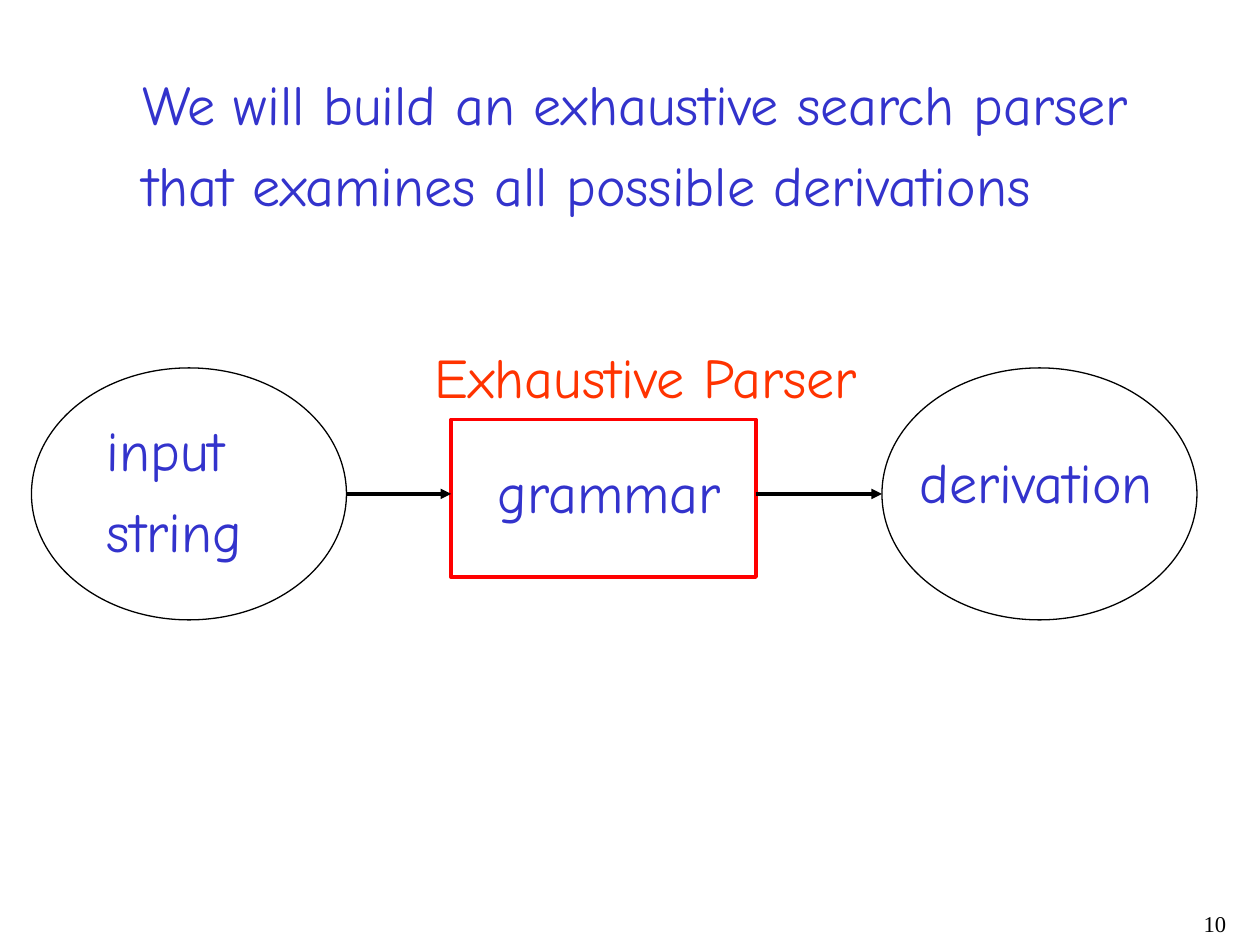
"""Build the slide on the exhaustive search parser."""
from lxml import etree
from pptx import Presentation
from pptx.dml.color import RGBColor
from pptx.enum.shapes import MSO_CONNECTOR, MSO_SHAPE
from pptx.enum.text import MSO_ANCHOR, MSO_AUTO_SIZE, PP_ALIGN
from pptx.oxml.ns import qn
from pptx.util import Inches, Pt

BLUE = RGBColor(0x33, 0x33, 0xCC)
ORANGE = RGBColor(0xFF, 0x33, 0x00)
RED = RGBColor(0xFF, 0x00, 0x00)
BLACK = RGBColor(0x00, 0x00, 0x00)
RECT, OVAL = MSO_SHAPE.RECTANGLE, MSO_SHAPE.OVAL
LEFT, RIGHT = PP_ALIGN.LEFT, PP_ALIGN.RIGHT
STRAIGHT = MSO_CONNECTOR.STRAIGHT
TOP, FIT = MSO_ANCHOR.TOP, MSO_AUTO_SIZE.SHAPE_TO_FIT_TEXT

MID = 3.92
TITLE = ["We will build an exhaustive search parser",
         "that examines all possible derivations"]
TITLE_BOX = (1.03, 0.5, 8.08, 1.28)
STAGES = [
    (OVAL, (0.25, 2.92, 2.5, 2), BLACK, 0.75),
    (RECT, (3.58, 3.33, 2.42, 1.25), RED, 2),
    (OVAL, (7, 2.92, 2.5, 2), BLACK, 0.75),
]
LABELS = [
    (["grammar"], (3.85, 3.58, 1.98, 0.64), BLUE),
    (["Exhaustive Parser"], (3.35, 2.67, 3.58, 0.64), ORANGE),
    (["input", "string"], (0.75, 3.25, 1.27, 1.28), BLUE),
    (["derivation"], (7.2, 3.5, 2.06, 0.64), BLUE),
]
NUMBER = (["10"], (7.75, 7.17, 2.08, 0.33))
BODY = {"name": "Comic Neue", "size": Pt(32)}
SMALL = {"name": "Times New Roman", "size": Pt(12.9)}
FRAME = {"word_wrap": False, "auto_size": FIT, "vertical_anchor": TOP,
         "margin_left": Inches(0.1), "margin_right": Inches(0.1),
         "margin_top": Inches(0.05), "margin_bottom": Inches(0.05)}


def apply(item, values):
    for key, value in values.items():
        setattr(item, key, value)


def place(box):
    return [Inches(n) for n in box]


def write(shape, lines, color, font=BODY, align=LEFT, **extra):
    frame = shape.text_frame
    frame.text = "\n".join(lines)
    apply(frame, {**FRAME, **extra})
    for i, para in enumerate(frame.paragraphs):
        apply(para, {"alignment": align, "line_spacing": 1.0,
                     "space_before": Pt(8 if i else 0)})
        apply(para.font, font)
        para.font.color.rgb = color


def draw(slide, kind, box, color, width):
    shape = slide.shapes.add_shape(kind, *place(box))
    shape.shadow.inherit = False
    shape.fill.background()
    shape.line.color.rgb = color
    shape.line.width = Pt(width)


def arrow(slide, start, end):
    link = slide.shapes.add_connector(STRAIGHT, *place((start, MID, end, MID)))
    link.line.color.rgb = BLACK
    link.line.width = Pt(2)
    props = link.line._get_or_add_ln()
    etree.SubElement(props, qn("a:tailEnd"), type="triangle")
    etree.SubElement(link._element.spPr, qn("a:effectLst"))


def main():
    deck = Presentation()
    deck.slide_width, deck.slide_height = Inches(10), Inches(7.5)
    slide = deck.slides.add_slide(deck.slide_layouts[5])
    title = slide.shapes.title
    apply(title, dict(zip(("left", "top", "width", "height"),
                          place(TITLE_BOX))))
    write(title, TITLE, BLUE)

    for stage in STAGES:
        draw(slide, *stage)
    for (_, a, *_), (_, b, *_) in zip(STAGES, STAGES[1:]):
        arrow(slide, a[0] + a[2], b[0])
    for lines, box, color in LABELS:
        write(slide.shapes.add_textbox(*place(box)), lines, color)

    lines, box = NUMBER
    write(slide.shapes.add_textbox(*place(box)), lines, BLACK, SMALL, RIGHT,
          word_wrap=True, auto_size=MSO_AUTO_SIZE.NONE)
    deck.save("out.pptx")


if __name__ == "__main__":
    main()
